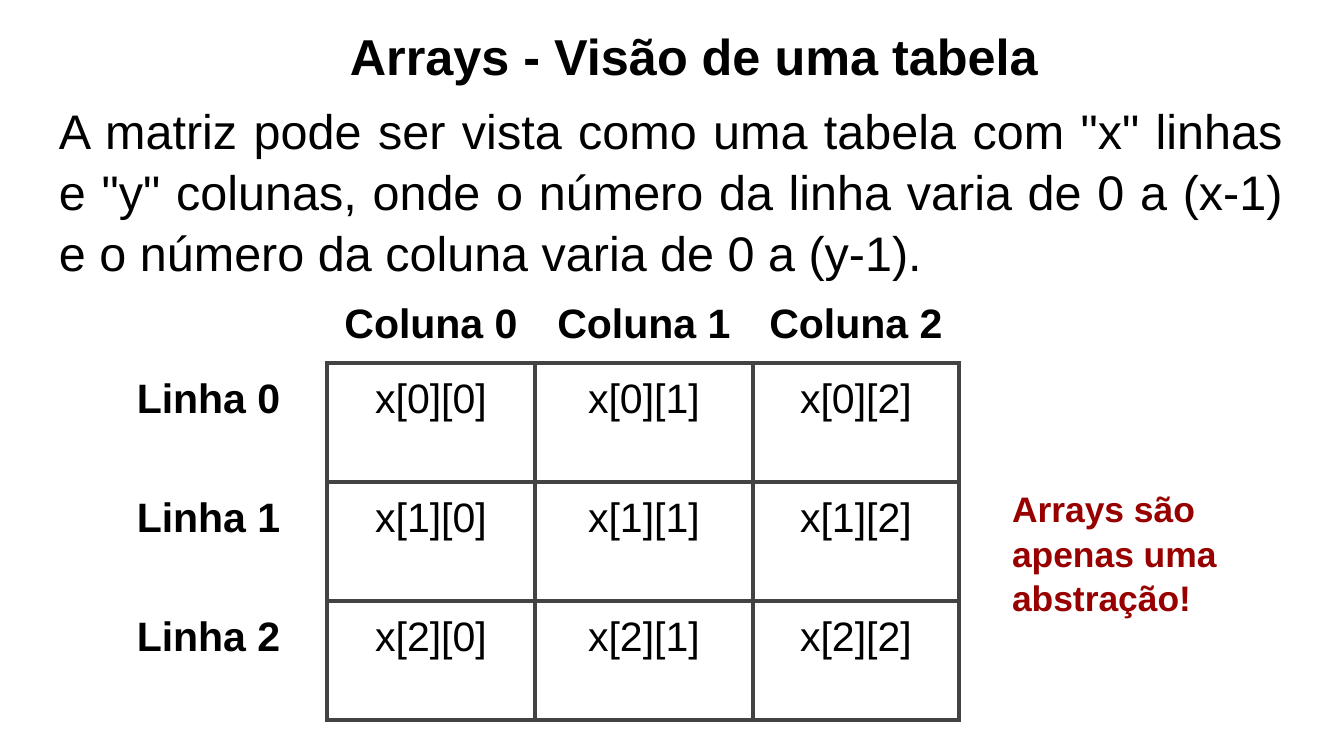
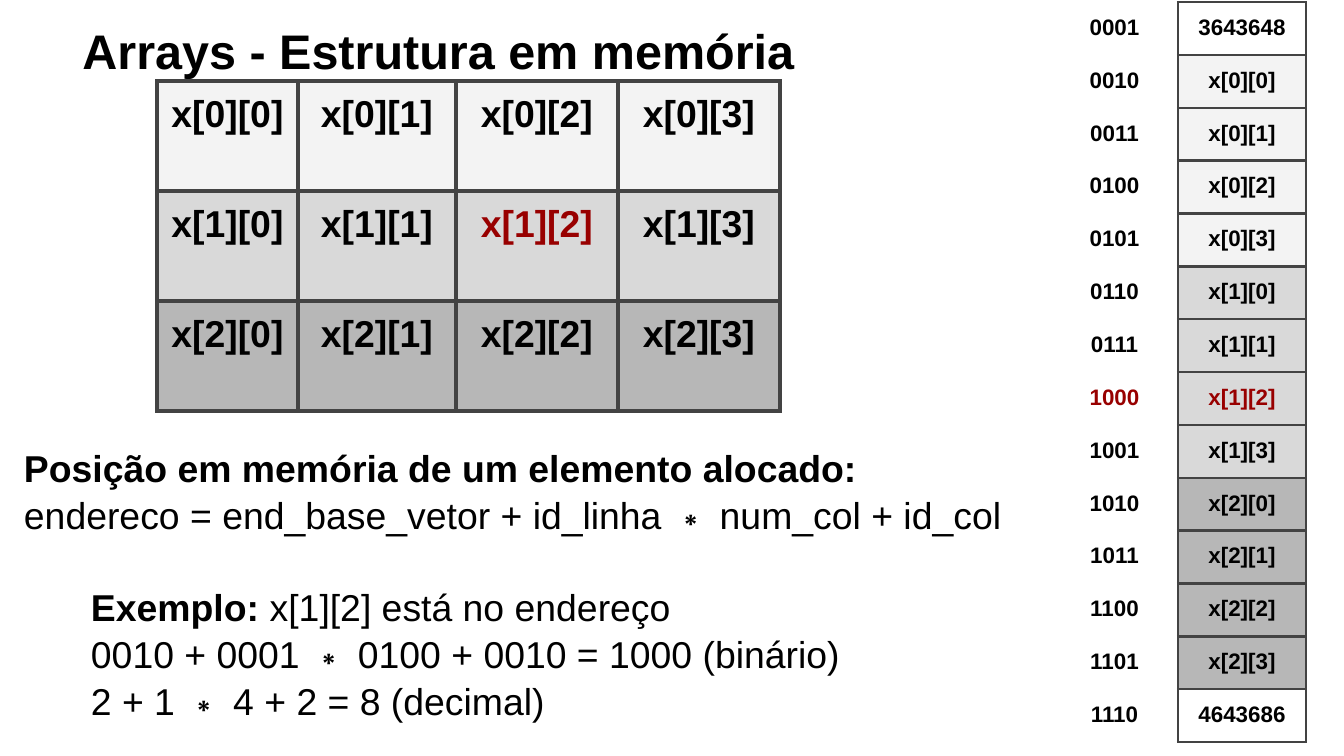
from dataclasses import dataclass
from lxml.etree import SubElement
from pptx import Presentation
from pptx.dml.color import RGBColor
from pptx.enum.text import MSO_ANCHOR, PP_ALIGN
from pptx.oxml.ns import qn
from pptx.util import Pt

PX = 914400 / 134.4
PLAIN_TABLE = "{2D5ABB26-0587-4C30-8999-92F81FD0307C}"
ALL_SIDES = "LRTB"


@dataclass(frozen=True)
class Theme:
    font: str = "Arial"
    ink: str = "000000"
    accent: str = "980000"
    border: str = "434343"
    shades: tuple = ("F3F3F3", "D9D9D9", "B7B7B7")
    title: int = 26
    body: int = 26
    grid: int = 22
    text: int = 20
    note: int = 19
    memory: int = 12
    inset: int = 13
    leading: float = 1.05
    thick: float = 2.25
    thin: float = 1.5


THEME = Theme()


def px(n):
    return round(n * PX)


def apply(obj, values):
    for name, value in values.items():
        setattr(obj, name, value)


def margins():
    return {f"margin_{side}": px(THEME.inset) for side in ("left", "right", "top", "bottom")}


def add_run(p, text, size, bold=False, color=THEME.ink):
    r = p.add_run()
    r.text = text
    apply(r.font, {"name": THEME.font, "size": Pt(size), "bold": bold})
    r.font.color.rgb = RGBColor.from_string(color)


def add_text(slide, box, paragraphs, size, color=THEME.ink, align=PP_ALIGN.LEFT,
             anchor=MSO_ANCHOR.TOP, leading=THEME.leading):
    tf = slide.shapes.add_textbox(*map(px, box)).text_frame
    apply(tf, {"word_wrap": True, "vertical_anchor": anchor, **margins()})
    for i, (runs, indent, before) in enumerate(paragraphs):
        p = tf.add_paragraph() if i else tf.paragraphs[0]
        apply(p, {"alignment": align, "line_spacing": leading, "space_before": px(before)})
        if indent:
            p._p.get_or_add_pPr().set("marL", str(px(indent)))
        for text, bold in runs:
            add_run(p, text, size, bold, color)


def add_title(slide, box, text, size=THEME.title):
    add_text(slide, box, [([(text, True)], 0, 0)], size,
             align=PP_ALIGN.CENTER, anchor=MSO_ANCHOR.MIDDLE, leading=1.0)


def add_border(cell, sides, width):
    tcPr = cell._tc.get_or_add_tcPr()
    for i, side in enumerate(sides):
        ln = tcPr.makeelement(qn(f"a:ln{side}"), {"w": str(Pt(width))})
        fill = SubElement(ln, qn("a:solidFill"))
        SubElement(fill, qn("a:srgbClr"), val=THEME.border)
        tcPr.insert(i, ln)


def add_grid(slide, left, top, widths, heights, rows, size, line):
    frame = slide.shapes.add_table(len(rows), len(widths), px(left), px(top),
                                   px(sum(widths)), px(sum(heights)))
    table = frame.table
    apply(table, {"first_row": False, "horz_banding": False})
    table._tbl.tblPr.find(qn("a:tableStyleId")).text = PLAIN_TABLE
    for column, width in zip(table.columns, widths):
        column.width = px(width)
    for row, height, values in zip(table.rows, heights, rows):
        row.height = px(height)
        for cell, value in zip(row.cells, values):
            fill_cell(cell, size, line, **value)


def fill_cell(cell, size, line, text="", bold=True, color=THEME.ink, fill=None, sides=ALL_SIDES):
    apply(cell, margins())
    if fill:
        cell.fill.solid()
        cell.fill.fore_color.rgb = RGBColor.from_string(fill)
    else:
        cell.fill.background()
    add_border(cell, sides, line)
    if text:
        p = cell.text_frame.paragraphs[0]
        p.alignment = PP_ALIGN.CENTER
        add_run(p, text, size, bold, color)


def element(row, col):
    return f"x[{row}][{col}]"


def shaded_element(row, col):
    color = THEME.accent if (row, col) == (1, 2) else THEME.ink
    return {"text": element(row, col), "fill": THEME.shades[row], "color": color}


def table_view(slide):
    add_title(slide, (90, 8, 1208, 95), "Arrays - Visão de uma tabela", THEME.title + 1)
    header = [{"sides": ""}] + [{"text": f"Coluna {c}", "sides": "B"} for c in range(3)]
    rows = [[{"text": f"Linha {r}", "sides": "R"}]
            + [{"text": element(r, c), "bold": False} for c in range(3)] for r in range(3)]
    add_grid(slide, 90, 288, (237, 208, 218, 206), (73, 119, 119, 119),
             [header] + rows, THEME.grid, THEME.thick)
    body = ('A matriz pode ser vista como uma tabela com "x" linhas e "y" colunas, '
            "onde o número da linha varia de 0 a (x-1) e o número da coluna varia de 0 a (y-1).")
    add_text(slide, (46, 85, 1252, 200), [([(body, False)], 0, 0)], THEME.body,
             align=PP_ALIGN.JUSTIFY)
    add_text(slide, (999, 472, 328, 117), [([("Arrays são apenas uma abstração!", True)], 0, 0)],
             THEME.note, THEME.accent)


def memory_view(slide):
    add_title(slide, (-48, 3, 974, 95), "Arrays - Estrutura em memória")
    matrix = [[shaded_element(r, c) for c in range(4)] for r in range(3)]
    add_grid(slide, 157, 81, (141, 158, 162, 162), [110] * 3, matrix, THEME.text, THEME.thick)
    indent = 67
    add_text(slide, (11, 430, 1039, 289), [
        ([("Posição em memória de um elemento alocado:", True)], 0, 0),
        ([("endereco = end_base_vetor + id_linha ∗ num_col + id_col", False)], 0, 0),
        ([("Exemplo: ", True), ("x[1][2] está no endereço", False)], indent, 45),
        ([("0010 + 0001 ∗ 0100 + 0010 = 1000 (binário)", False)], indent, 0),
        ([("2 + 1 ∗ 4 + 2 = 8 (decimal)", False)], indent, 0),
    ], THEME.text)
    cells = [{"text": "3643648"}, *sum(matrix, []), {"text": "4643686"}]
    memory = [[{"text": f"{n:04b}", "color": cell.get("color", THEME.ink), "sides": "R"}, cell]
              for n, cell in enumerate(cells, 1)]
    add_grid(slide, 1051, 2, (127, 128), [52] * len(memory), memory, THEME.memory, THEME.thin)


def main():
    prs = Presentation()
    apply(prs, {"slide_width": px(1344), "slide_height": px(756)})
    for build in (table_view, memory_view):
        build(prs.slides.add_slide(prs.slide_layouts[6]))
    prs.save("out.pptx")


main()
